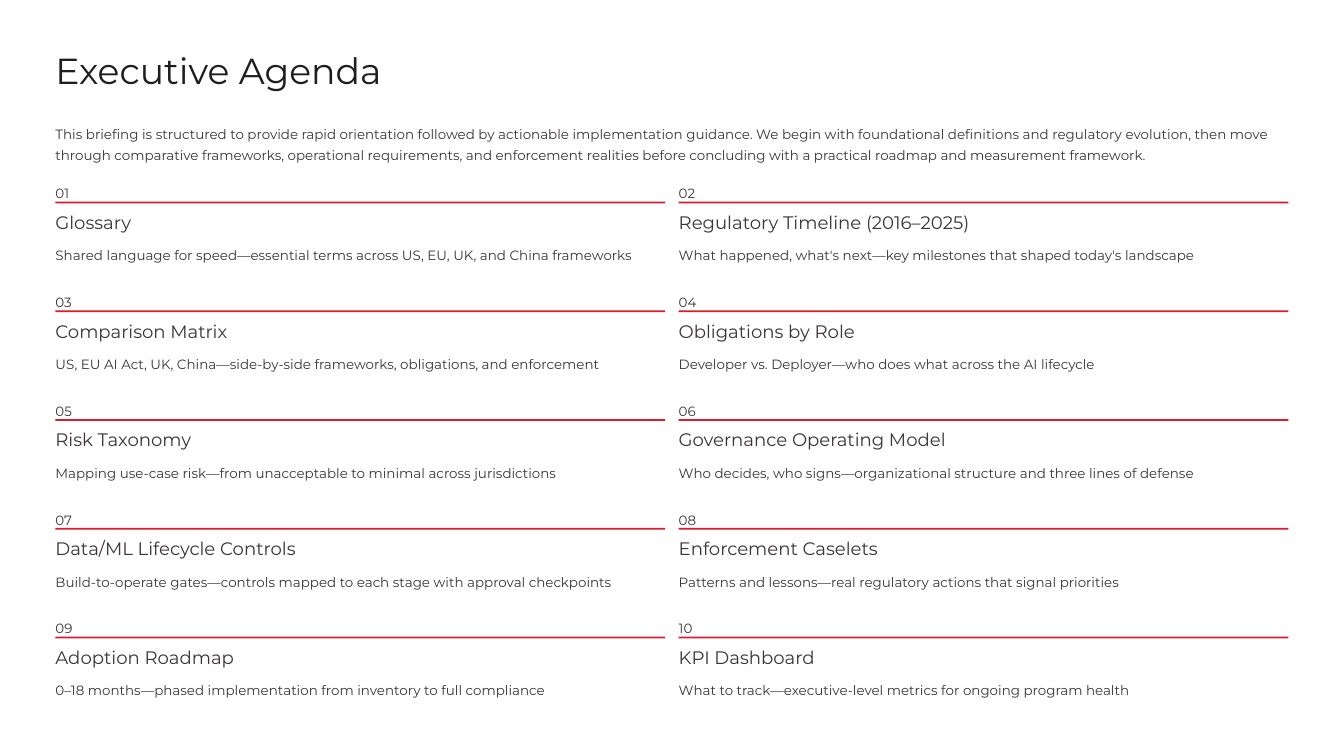
from dataclasses import dataclass

from pptx import Presentation
from pptx import util as u
from pptx.dml.color import RGBColor
from pptx.enum import shapes


@dataclass(frozen=True)
class Style:
    size: float
    leading: float
    color: str


@dataclass(frozen=True)
class Theme:
    font: str = "Montserrat"
    accent: str = "DA1B2E"
    title: Style = Style(31, 38.5, "1F1E1E")
    heading: Style = Style(15.5, 19, "3B3535")
    body: Style = Style(11.5, 18.5, "3B3535")


THEME = Theme()

# Grid, in inches
WIDTH, HEIGHT = 16, 9
MARGIN = 0.66
COLUMN_WIDTH = 7.26
COLUMN_PITCH = 7.42
COLUMNS = 2
FIRST_ROW, LAST_ROW = 2.14, 7.32

# Heading, width of the heading, summary
AGENDA = [
    ("Glossary", 2.16,
     "Shared language for speed—essential terms across US, EU, UK, and China frameworks"),
    ("Regulatory Timeline (2016–2025)", 3.65,
     "What happened, what's next—key milestones that shaped today's landscape"),
    ("Comparison Matrix", 2.16,
     "US, EU AI Act, UK, China—side-by-side frameworks, obligations, and enforcement"),
    ("Obligations by Role", 2.18,
     "Developer vs. Deployer—who does what across the AI lifecycle"),
    ("Risk Taxonomy", 2.16,
     "Mapping use-case risk—from unacceptable to minimal across jurisdictions"),
    ("Governance Operating Model", 3.27,
     "Who decides, who signs—organizational structure and three lines of defense"),
    ("Data/ML Lifecycle Controls", 2.97,
     "Build-to-operate gates—controls mapped to each stage with approval checkpoints"),
    ("Enforcement Caselets", 2.44,
     "Patterns and lessons—real regulatory actions that signal priorities"),
    ("Adoption Roadmap", 2.17,
     "0–18 months—phased implementation from inventory to full compliance"),
    ("KPI Dashboard", 2.16,
     "What to track—executive-level metrics for ongoing program health"),
]
ROW_PITCH = (LAST_ROW - FIRST_ROW) / (len(AGENDA) // COLUMNS - 1)


def add_text(slide, words, left, top, width, height, style, wrap=False):
    box = slide.shapes.add_textbox(*map(u.Inches, (left, top, width, height)))
    frame = box.text_frame
    frame.margin_left = frame.margin_right = 0
    frame.margin_top = frame.margin_bottom = 0
    frame.word_wrap = wrap
    paragraph = frame.paragraphs[0]
    paragraph.text = words
    paragraph.line_spacing = u.Pt(style.leading)
    paragraph.font.name = THEME.font
    paragraph.font.size = u.Pt(style.size)
    paragraph.font.color.rgb = RGBColor.from_string(style.color)


def add_rule(slide, left, top):
    rule = slide.shapes.add_shape(
        shapes.MSO_SHAPE.RECTANGLE,
        *map(u.Inches, (left, top, COLUMN_WIDTH, 0.02)))
    rule.shadow.inherit = False
    rule.fill.solid()
    rule.fill.fore_color.rgb = RGBColor.from_string(THEME.accent)
    rule.line.fill.background()


def add_agenda_item(slide, index, heading, heading_width, summary):
    row, column = divmod(index, COLUMNS)
    left = MARGIN + column * COLUMN_PITCH
    top = FIRST_ROW + row * ROW_PITCH
    add_text(slide, f"{index + 1:02d}", left, top, 0.3, 0.2, THEME.body)
    add_rule(slide, left, top + 0.26)
    add_text(slide, heading, left, top + 0.37, heading_width, 0.27, THEME.heading)
    add_text(slide, summary, left, top + 0.74, COLUMN_WIDTH, 0.26, THEME.body)


def main():
    deck = Presentation()
    deck.slide_width, deck.slide_height = u.Inches(WIDTH), u.Inches(HEIGHT)
    slide = deck.slides.add_slide(deck.slide_layouts[6])

    # Title and introduction
    add_text(slide, "Executive Agenda", MARGIN, 0.56, 4.31, 0.54, THEME.title)
    add_text(
        slide,
        "This briefing is structured to provide rapid orientation followed by "
        "actionable implementation guidance. We begin with foundational definitions "
        "and regulatory evolution, then move through comparative frameworks, "
        "operational requirements, and enforcement realities before concluding with "
        "a practical roadmap and measurement framework.",
        MARGIN, 1.43, 14.69, 0.52, THEME.body, wrap=True)

    # Agenda grid
    for index, item in enumerate(AGENDA):
        add_agenda_item(slide, index, *item)

    deck.save("out.pptx")


if __name__ == "__main__":
    main()
